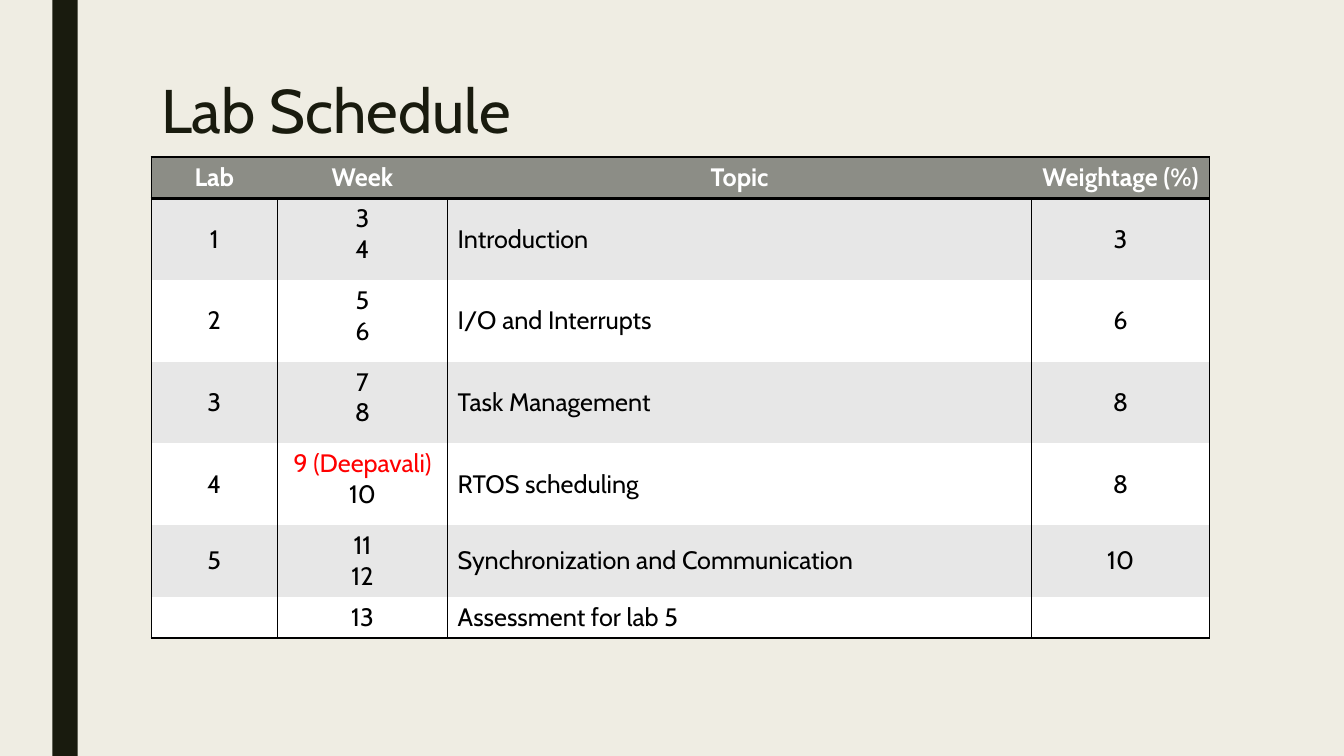
from dataclasses import dataclass

from lxml import etree
from pptx import Presentation
from pptx.dml.color import RGBColor
from pptx.enum.shapes import MSO_SHAPE
from pptx.enum.text import MSO_ANCHOR, PP_ALIGN
from pptx.oxml.ns import qn
from pptx.util import Inches, Pt

RECT = MSO_SHAPE.RECTANGLE
TOP, MIDDLE = MSO_ANCHOR.TOP, MSO_ANCHOR.MIDDLE
LEFT, CENTER = PP_ALIGN.LEFT, PP_ALIGN.CENTER


@dataclass(frozen=True)
class Theme:
    font: str = "Cabin"
    title_size: int = 44
    body_size: int = 18
    background: str = "EFEDE3"
    dark: str = "191B0E"
    header: str = "8C8D86"
    band: str = "E7E7E7"
    white: str = "FFFFFF"
    black: str = "000000"
    holiday: str = "FF0000"
    thin: int = 1
    thick: int = 2


THEME = Theme()
COL_WIDTHS = [1.25, 1.69, 5.79, 1.77]
ROW_HEIGHTS = [0.41, 0.81, 0.81, 0.81, 0.81, 0.71, 0.41]
WEEK_COL, TOPIC_COL = 1, 2
SCHEDULE = [
    ("Lab", "Week", "Topic", "Weightage (%)"),
    ("1", "3\n4", "Introduction", "3"),
    ("2", "5\n6", "I/O and Interrupts", "6"),
    ("3", "7\n8", "Task Management", "8"),
    ("4", "9 (Deepavali)\n10", "RTOS scheduling", "8"),
    ("5", "11\n12", "Synchronization and Communication", "10"),
    ("", "13", "Assessment for lab 5", ""),
]


def rgb(value):
    return RGBColor.from_string(value)


def style_paragraph(p, size, color, bold=False, align=LEFT):
    p.alignment = align
    p.font.name = THEME.font
    p.font.size = Pt(size)
    p.font.bold = bold
    p.font.color.rgb = rgb(color)


def set_borders(cell, left=0, right=0, top=0, bottom=0):
    tc_pr = cell._tc.get_or_add_tcPr()
    sides = {"a:lnL": left, "a:lnR": right, "a:lnT": top, "a:lnB": bottom}
    for index, (tag, width) in enumerate(sides.items()):
        ln = etree.Element(qn(tag), w=str(Pt(width)))
        if width:
            fill = etree.SubElement(ln, qn("a:solidFill"))
            etree.SubElement(fill, qn("a:srgbClr"), val=THEME.black)
        else:
            etree.SubElement(ln, qn("a:noFill"))
        tc_pr.insert(index, ln)


def add_side_bar(slide, left, top, width, height):
    sp = slide.shapes.add_shape(RECT, Inches(left), Inches(top), Inches(width), Inches(height))
    sp.shadow.inherit = False
    sp.fill.solid()
    sp.fill.fore_color.rgb = rgb(THEME.dark)
    sp.line.fill.background()


def add_title(slide, left, top, width, height):
    sp = slide.shapes.add_textbox(Inches(left), Inches(top), Inches(width), Inches(height))
    tf = sp.text_frame
    tf.word_wrap = True
    tf.text = "Lab Schedule"
    p = tf.paragraphs[0]
    p.line_spacing = 0.89
    style_paragraph(p, THEME.title_size, THEME.dark)


def fill_cell(cell, row, col, text):
    is_header = row == 0
    is_last = row == len(SCHEDULE) - 1
    if is_header:
        fill, color = THEME.header, THEME.white
    else:
        fill, color = (THEME.band if row % 2 else THEME.white), THEME.black
    cell.fill.solid()
    cell.fill.fore_color.rgb = rgb(fill)
    cell.vertical_anchor = TOP if is_header or col == WEEK_COL else MIDDLE
    cell.text = text
    align = LEFT if col == TOPIC_COL and not is_header else CENTER
    for p in cell.text_frame.paragraphs:
        ink = THEME.holiday if "Deepavali" in p.text else color
        style_paragraph(p, THEME.body_size, ink, is_header, align)
    set_borders(
        cell,
        left=THEME.thin if not is_header or col == 0 else 0,
        right=THEME.thin if not is_header or col == len(COL_WIDTHS) - 1 else 0,
        top=THEME.thick if row < 2 else 0,
        bottom=THEME.thick if is_header or is_last else 0,
    )


def add_schedule(slide, left, top):
    frame = slide.shapes.add_table(
        len(ROW_HEIGHTS), len(COL_WIDTHS), Inches(left), Inches(top),
        Inches(sum(COL_WIDTHS)), Inches(sum(ROW_HEIGHTS)),
    )
    table = frame.table
    table.first_row = False
    table.horz_banding = False
    for column, width in zip(table.columns, COL_WIDTHS):
        column.width = Inches(width)
    for row, height in zip(table.rows, ROW_HEIGHTS):
        row.height = Inches(height)
    for row, values in enumerate(SCHEDULE):
        for col, text in enumerate(values):
            fill_cell(table.cell(row, col), row, col, text)


def build_schedule_slide(prs):
    s = prs.slides.add_slide(prs.slide_layouts[6])
    s.background.fill.solid()
    s.background.fill.fore_color.rgb = rgb(THEME.background)
    add_side_bar(s, 0.52, 0, 0.25, 7.5)
    add_title(s, 1.5, 0.75, 10.5, 1.62)
    add_schedule(s, 1.5, 1.56)


prs = Presentation()
prs.slide_width = Inches(13.33)
prs.slide_height = Inches(7.5)
build_schedule_slide(prs)
prs.save("out.pptx")
